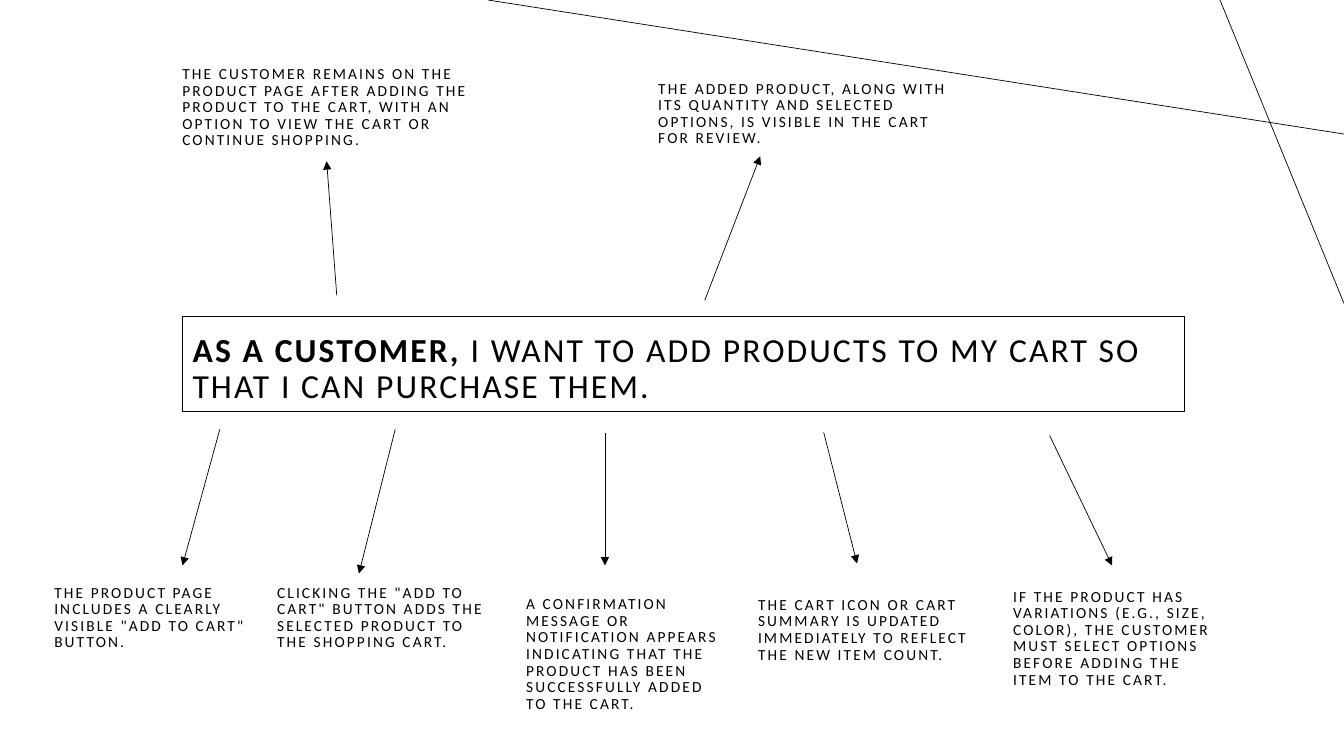
from dataclasses import dataclass

import pptx
import pptx.dml.color
import pptx.enum.shapes
import pptx.enum.text
import pptx.oxml
import pptx.oxml.ns
import pptx.util
from pptx.util import Inches

BLACK = pptx.dml.color.RGBColor(0x00, 0x00, 0x00)
WHITE = pptx.dml.color.RGBColor(0xFF, 0xFF, 0xFF)
FONT = "Calibri"
LETTER_SPACING = 150  # hundredths of a point

Point = tuple[float, float]


@dataclass(frozen=True)
class Criterion:
    """An acceptance criterion and the arrow leading to it, in inches."""
    text: str
    left: float
    top: float
    width: float
    height: float
    start: Point
    end: Point


CRITERIA = [
    # Below the story
    Criterion('THE PRODUCT PAGE INCLUDES A CLEARLY VISIBLE "ADD TO CART" BUTTON.',
              0.44, 5.69, 2.3, 0.82, (2.18, 4.26), (1.81, 5.61)),
    Criterion('CLICKING THE "ADD TO CART" BUTTON ADDS THE SELECTED PRODUCT '
              'TO THE SHOPPING CART.',
              2.65, 5.69, 2.39, 0.82, (3.92, 4.26), (3.56, 5.69)),
    Criterion("A CONFIRMATION MESSAGE OR NOTIFICATION APPEARS INDICATING THAT "
              "THE PRODUCT HAS BEEN SUCCESSFULLY ADDED TO THE CART.",
              5.12, 5.69, 2.14, 1.43, (6, 4.3), (6, 5.61)),
    Criterion("THE CART ICON OR CART SUMMARY IS UPDATED IMMEDIATELY TO REFLECT "
              "THE NEW ITEM COUNT.",
              7.42, 5.69, 2.3, 0.94, (8.17, 4.29), (8.5, 5.59)),
    Criterion("IF THE PRODUCT HAS VARIATIONS (E.G., SIZE, COLOR), THE CUSTOMER "
              "MUST SELECT OPTIONS BEFORE ADDING THE ITEM TO THE CART.",
              9.95, 5.74, 2.3, 1.14, (10.41, 4.32), (11.03, 5.61)),
    # Above the story
    Criterion("THE CUSTOMER REMAINS ON THE PRODUCT PAGE AFTER ADDING THE PRODUCT "
              "TO THE CART, WITH AN OPTION TO VIEW THE CART OR CONTINUE SHOPPING.",
              1.71, 0.59, 3.05, 0.94, (3.34, 2.93), (3.24, 1.6)),
    Criterion("THE ADDED PRODUCT, ALONG WITH ITS QUANTITY AND SELECTED OPTIONS, "
              "IS VISIBLE IN THE CART FOR REVIEW.",
              6.43, 0.77, 3.12, 0.74, (6.99, 2.98), (7.54, 1.55)),
]

DECORATIVE_LINES: list[tuple[Point, Point]] = [
    ((13.33, 1.33), (4.84, 0)),
    ((12.1, 0), (13.33, 3.01)),
]


def format_text(frame: pptx.text.text.TextFrame, size: float) -> None:
    frame.word_wrap = True
    frame.auto_size = pptx.enum.text.MSO_AUTO_SIZE.NONE
    frame.vertical_anchor = pptx.enum.text.MSO_ANCHOR.BOTTOM
    for para in frame.paragraphs:
        para.alignment = pptx.enum.text.PP_ALIGN.LEFT
        para.line_spacing = 0.9
        for span in para.runs:
            span.font.name = FONT
            span.font.size = pptx.util.Pt(size)
            span.font.color.rgb = BLACK
            span.font._element.set("spc", str(LETTER_SPACING))


def add_line(page: pptx.slide.Slide, start: Point, end: Point,
             arrow: bool = False) -> None:
    line = page.shapes.add_connector(
        pptx.enum.shapes.MSO_CONNECTOR.STRAIGHT,
        *(Inches(value) for value in (*start, *end)))
    line.line.color.rgb = BLACK
    line.line.width = pptx.util.Pt(0.5)
    if arrow:
        outline = line.line._get_or_add_ln()
        head = pptx.oxml.parse_xml(
            f'<a:tailEnd {pptx.oxml.ns.nsdecls("a")} type="triangle"/>')
        outline.append(head)
    properties = line._element.spPr
    properties.append(
        pptx.oxml.parse_xml(f'<a:effectLst {pptx.oxml.ns.nsdecls("a")}/>'))


def add_story(page: pptx.slide.Slide) -> None:
    title = page.shapes.title
    title.left, title.top = Inches(1.81), Inches(3.14)
    title.width, title.height = Inches(9.94), Inches(0.94)
    title.fill.solid()
    title.fill.fore_color.rgb = WHITE
    title.line.color.rgb = BLACK
    title.line.width = pptx.util.Pt(1)

    para = title.text_frame.paragraphs[0]
    para.text = "AS A CUSTOMER, "
    para.runs[0].font.bold = True
    wish = para.add_run()
    wish.text = "I WANT TO ADD PRODUCTS TO MY CART SO THAT I CAN PURCHASE THEM."
    wish.font.bold = False
    format_text(title.text_frame, 24)


def add_criterion(page: pptx.slide.Slide, criterion: Criterion) -> None:
    add_line(page, criterion.start, criterion.end, arrow=True)
    box = page.shapes.add_textbox(
        Inches(criterion.left), Inches(criterion.top),
        Inches(criterion.width), Inches(criterion.height))
    box.text_frame.text = criterion.text
    format_text(box.text_frame, 11)


def main() -> None:
    deck = pptx.Presentation()
    deck.slide_width, deck.slide_height = Inches(13.33), Inches(7.5)
    title_only = deck.slide_layouts.get_by_name("Title Only")
    page = deck.slides.add_slide(title_only)

    # Decorative corner lines
    for start, end in DECORATIVE_LINES:
        add_line(page, start, end)

    # User story with its acceptance criteria
    add_story(page)
    for criterion in CRITERIA:
        add_criterion(page, criterion)

    deck.save("out.pptx")


if __name__ == "__main__":
    main()
